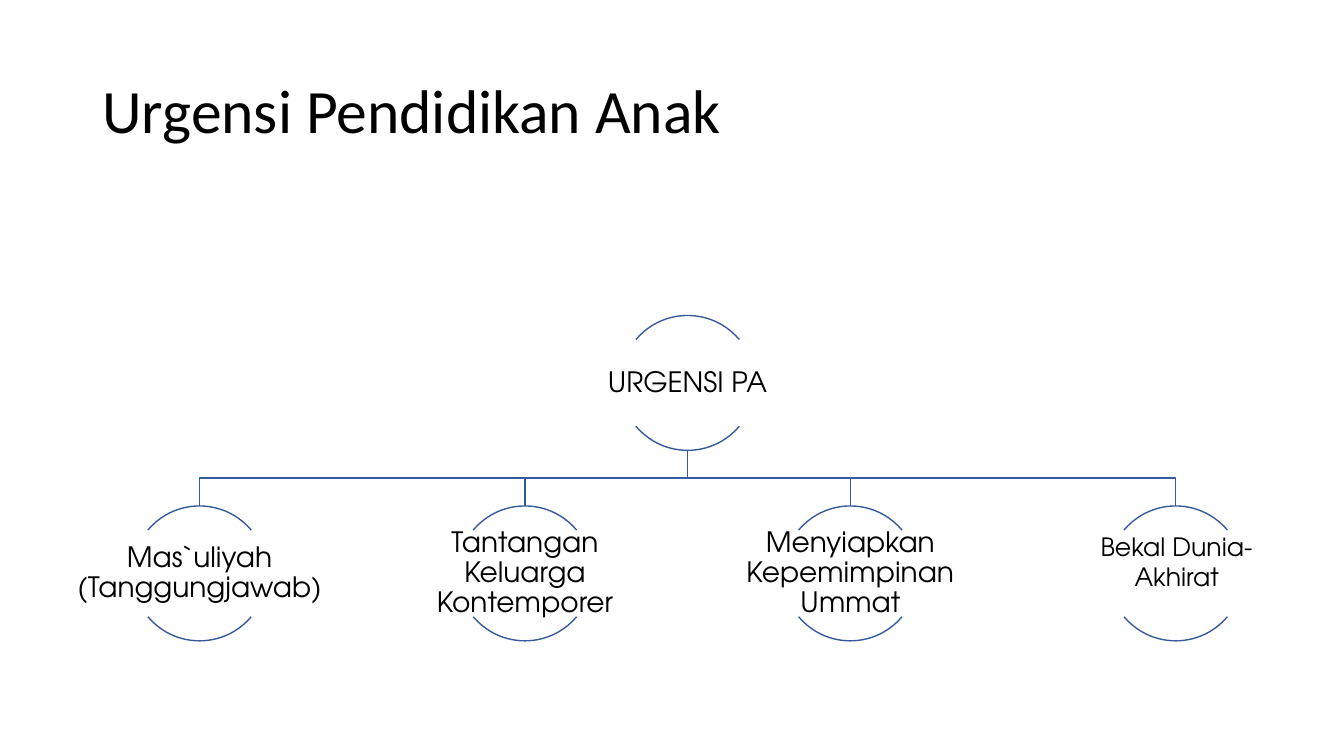
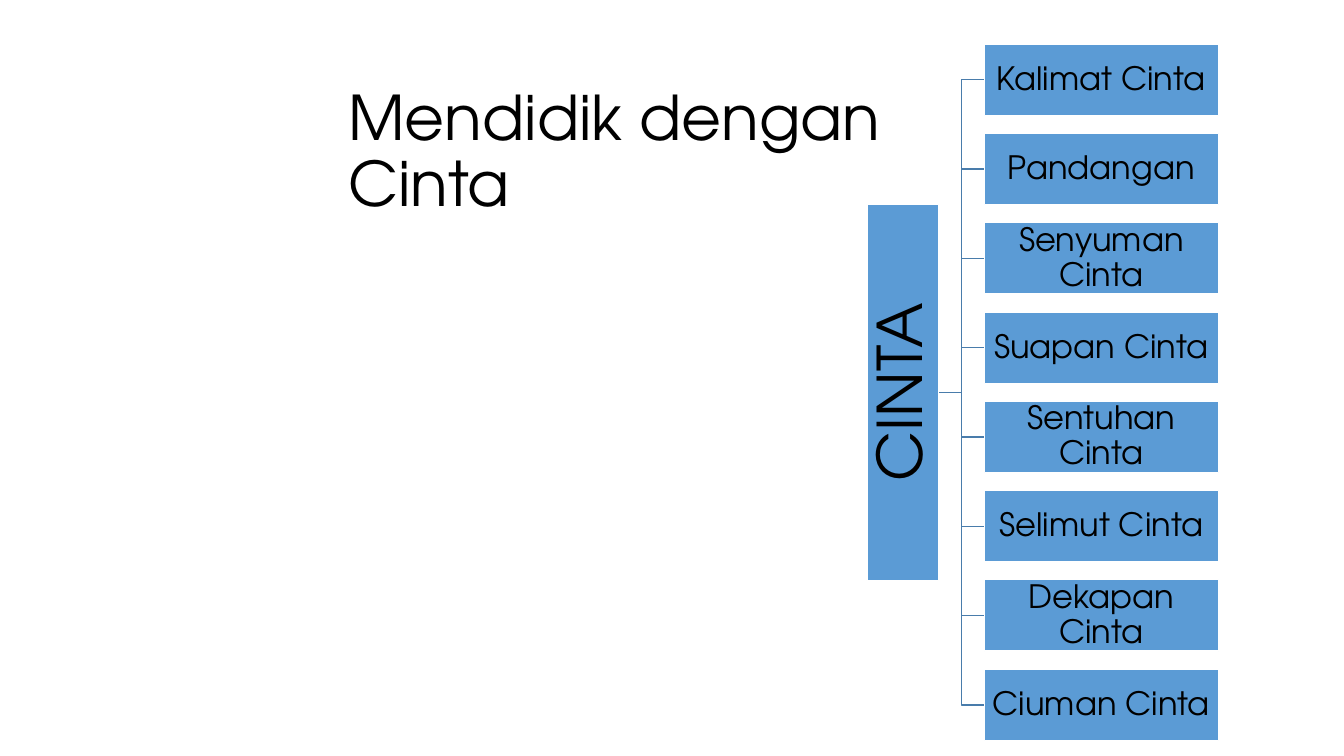
from dataclasses import dataclass

from pptx import Presentation
from pptx.dml.color import RGBColor
from pptx.enum.shapes import MSO_SHAPE
from pptx.enum.text import MSO_ANCHOR, PP_ALIGN
from pptx.shapes.autoshape import Shape
from pptx.slide import Slide
from pptx.util import Cm, Pt

ARC = MSO_SHAPE.ARC
RECT = MSO_SHAPE.RECTANGLE
MIDDLE = MSO_ANCHOR.MIDDLE
TOP = MSO_ANCHOR.TOP
LEFT = PP_ALIGN.LEFT
CENTER = PP_ALIGN.CENTER

BLACK = RGBColor(0x00, 0x00, 0x00)
WHITE = RGBColor(0xFF, 0xFF, 0xFF)
NAVY = RGBColor(0x36, 0x5B, 0x9D)
STEEL = RGBColor(0x49, 0x7C, 0xAB)
BLUE = RGBColor(0x5B, 0x9B, 0xD5)

SANS = "Calibri"
ROUND = "TeX Gyre Adventor"

RING = 3.4
ARCS = ((132, 192), (24, 84))
BAR = 1.8


@dataclass(frozen=True)
class Box:
    x: float
    y: float
    w: float
    h: float

    def place(self) -> tuple[Cm, Cm, Cm, Cm]:
        return Cm(self.x), Cm(self.y), Cm(self.w), Cm(self.h)


@dataclass(frozen=True)
class Style:
    size: float
    font: str = ROUND
    align: PP_ALIGN = CENTER
    anchor: MSO_ANCHOR = MIDDLE
    lead: float = 0.9
    pad: tuple[float, float] = (0.25, 0.13)


@dataclass(frozen=True)
class Node:
    text: str
    x: float
    y: float


HEAD = Style(44, align=LEFT)
PLAIN = Style(44, font=SANS, align=LEFT)
LABEL = Style(20, pad=(0.03, 0.03))
NOTE = Style(18, anchor=TOP, lead=1.0)
TRUNK = Style(44, pad=(0.08, 0.08))
LEAF = Style(23, pad=(0.05, 0.05))

AIMS = (
    "Mas`uliyah (Tanggungjawab)",
    "Tantangan Keluarga Kontemporer",
    "Menyiapkan Kepemimpinan Ummat",
)
LAST = "Bekal Dunia-Akhirat"
ACTS = (
    "Kalimat Cinta",
    "Pandangan",
    "Senyuman Cinta",
    "Suapan Cinta",
    "Sentuhan Cinta",
    "Selimut Cinta",
    "Dekapan Cinta",
    "Ciuman Cinta",
)


def write(shape: Shape, text: str, style: Style) -> None:
    frame = shape.text_frame
    frame.text = text
    frame.word_wrap = True
    frame.vertical_anchor = style.anchor
    side, edge = (Cm(gap) for gap in style.pad)
    frame.margin_left = frame.margin_right = side
    frame.margin_top = frame.margin_bottom = edge
    para = frame.paragraphs[0]
    para.alignment = style.align
    para.line_spacing = style.lead
    font = para.runs[0].font
    font.name = style.font
    font.size = Pt(style.size)
    font.color.rgb = BLACK


def label(slide: Slide, box: Box, text: str, style: Style) -> None:
    write(slide.shapes.add_textbox(*box.place()), text, style)


def outline(shape: Shape, color: RGBColor) -> None:
    shape.shadow.inherit = False
    shape.line.color.rgb = color
    shape.line.width = Pt(1)


def elbow(slide: Slide, points: list[tuple[float, float]], color: RGBColor) -> None:
    start, *rest = [(Cm(x), Cm(y)) for x, y in points]
    form = slide.shapes.build_freeform(*start)
    form.add_line_segments(rest, close=False)
    shape = form.convert_to_shape()
    shape.fill.background()
    outline(shape, color)


def ring(slide: Slide, node: Node) -> None:
    box = Box(node.x - RING / 2, node.y, RING, RING)
    for ends in ARCS:
        arc = slide.shapes.add_shape(ARC, *box.place())
        arc.adjustments[0], arc.adjustments[1] = ends
        arc.fill.background()
        outline(arc, NAVY)


def named(slide: Slide, node: Node) -> None:
    ring(slide, node)
    wide, high = 6.78, 2.16
    box = Box(node.x - wide / 2, node.y + (RING - high) / 2, wide, high)
    label(slide, box, node.text, LABEL)


def bar(slide: Slide, box: Box, text: str, style: Style, turn: float = 0) -> None:
    shape = slide.shapes.add_shape(RECT, *box.place())
    shape.rotation = turn
    shape.fill.solid()
    shape.fill.fore_color.rgb = BLUE
    outline(shape, WHITE)
    write(shape, text, style)


def urgency(slide: Slide) -> None:
    label(slide, Box(2.33, 1.02, 29.21, 3.68), "Urgensi Pendidikan Anak", PLAIN)
    first, step, row = 5.03, 8.2, 12.75
    nodes = [Node(text, first + i * step, row) for i, text in enumerate((*AIMS, LAST))]
    root = Node("URGENSI PA", (nodes[0].x + nodes[-1].x) / 2, 7.95)
    base = root.y + RING
    rail = (base + row) / 2
    for node in nodes:
        elbow(slide, [(root.x, base), (root.x, rail), (node.x, rail), (node.x, row)], NAVY)
    for node in (root, *nodes[:-1]):
        named(slide, node)
    ring(slide, nodes[-1])
    label(slide, Box(26.57, 13.26, 6.17, 2.57), LAST, NOTE)


def love(slide: Slide) -> None:
    label(slide, Box(8.53, 1.7, 16.15, 4.34), "Mendidik dengan Cinta", HEAD)
    left, top, step = 24.81, 1.11, 2.25
    boxes = [Box(left, top + i * step, 5.9, BAR) for i in range(len(ACTS))]
    mid = (boxes[0].y + boxes[-1].y + BAR) / 2
    axis, long = 22.75, 9.47
    edge = axis + BAR / 2
    rail = (edge + left) / 2
    for box in boxes:
        y = box.y + BAR / 2
        elbow(slide, [(edge, mid), (rail, mid), (rail, y), (left, y)], STEEL)
    trunk = Box(axis - long / 2, mid - BAR / 2, long, BAR)
    bar(slide, trunk, "CINTA", TRUNK, 270)
    for box, text in zip(boxes, ACTS):
        bar(slide, box, text, LEAF)


def main() -> None:
    deck = Presentation()
    deck.slide_width = Cm(33.87)
    deck.slide_height = Cm(19.05)
    blank = deck.slide_layouts[6]
    for draw in (urgency, love):
        draw(deck.slides.add_slide(blank))
    deck.save("out.pptx")


if __name__ == "__main__":
    main()
